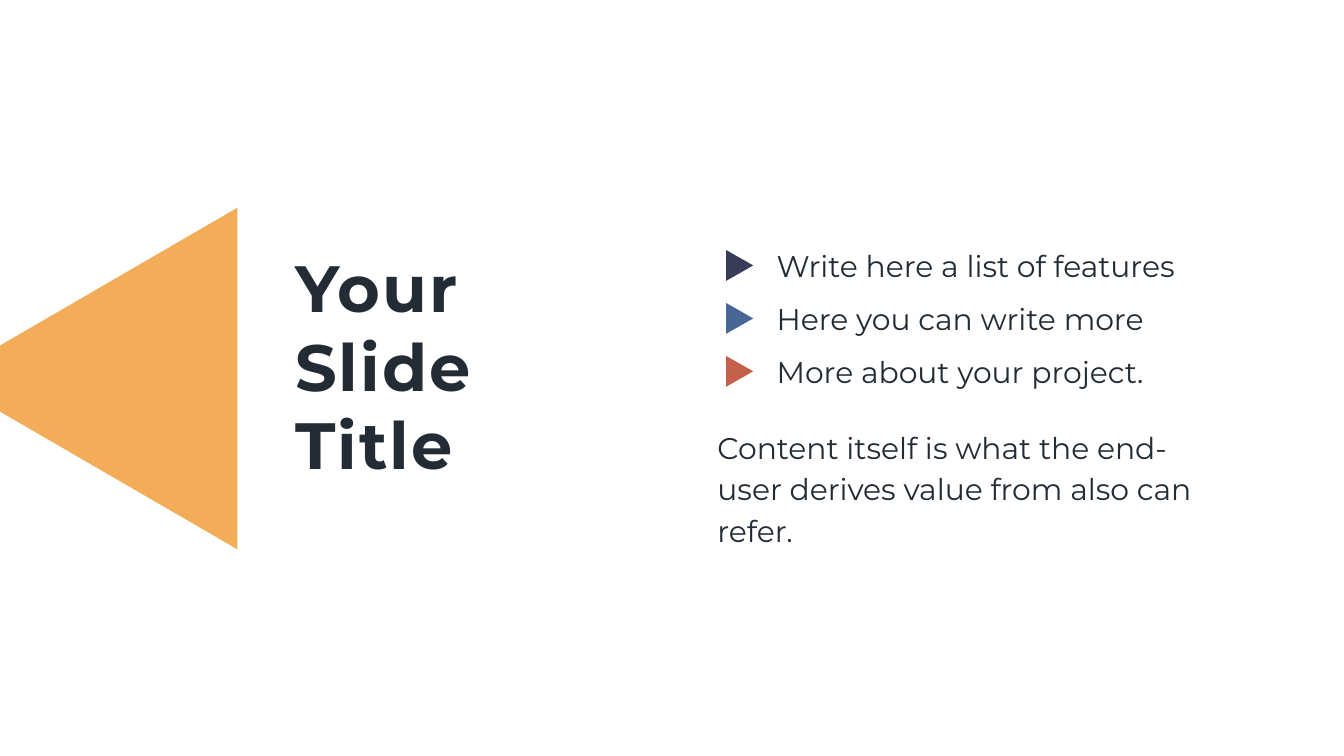
"""Build a title slide with a short feature list and a closing paragraph."""
from pptx import Presentation
from pptx.dml.color import RGBColor
from pptx.enum.shapes import MSO_SHAPE as Shape
from pptx.enum.text import MSO_AUTO_SIZE as AutoSize
from pptx.util import Cm, Pt

INK = "232C34"


def add_text(page, text, left, top, width, height, size=16, bold=False,
             wrap=False, line_spacing=None, tracking=None):
    box = page.shapes.add_textbox(Cm(left), Cm(top), Cm(width), Cm(height))
    frame = box.text_frame
    frame.text = text
    frame.word_wrap = wrap
    frame.auto_size = AutoSize.SHAPE_TO_FIT_TEXT
    for para in frame.paragraphs:
        if line_spacing:
            para.line_spacing = Pt(line_spacing)
        for span in para.runs:
            span.font.name = "Montserrat"
            span.font.size = Pt(size)
            span.font.bold = bold
            span.font.color.rgb = RGBColor.from_string(INK)
            if tracking:
                span.font._element.set("spc", str(round(tracking * 100)))


def add_triangle(page, left, top, width, height, rotation, color):
    triangle = page.shapes.add_shape(
        Shape.ISOSCELES_TRIANGLE, Cm(left), Cm(top), Cm(width), Cm(height))
    triangle.rotation = rotation
    triangle.shadow.inherit = False
    triangle.fill.solid()
    triangle.fill.fore_color.rgb = RGBColor.from_string(color)
    triangle.line.fill.background()


deck = Presentation()
deck.slide_width, deck.slide_height = Cm(25.4), Cm(14.28)
page = deck.slides.add_slide(deck.slide_layouts[6])

add_triangle(page, -1.52, 4.37, 6.45, 5.56, 270, "F3AC58")
add_text(page, "Your\nSlide\nTitle", 5.33, 4.55, 4.29, 4.75,
         size=35, bold=True, tracking=1.1)

features = [
    ("Write here a list of features", 8.2, "383C58"),
    ("Here you can write more", 7.57, "486794"),
    ("More about your project.", 7.54, "C4604C"),
]
for row, (feature, width, color) in enumerate(features):
    add_triangle(page, 13.69, 4.76 + row, 0.58, 0.51, 90, color)
    add_text(page, feature, 14.43, 4.55 + row, width, 0.94)

add_text(page, "Content itself is what the end-user derives value from also can refer.",
         13.31, 7.9, 9.7, 2.54, wrap=True, line_spacing=22)

deck.save("out.pptx")
